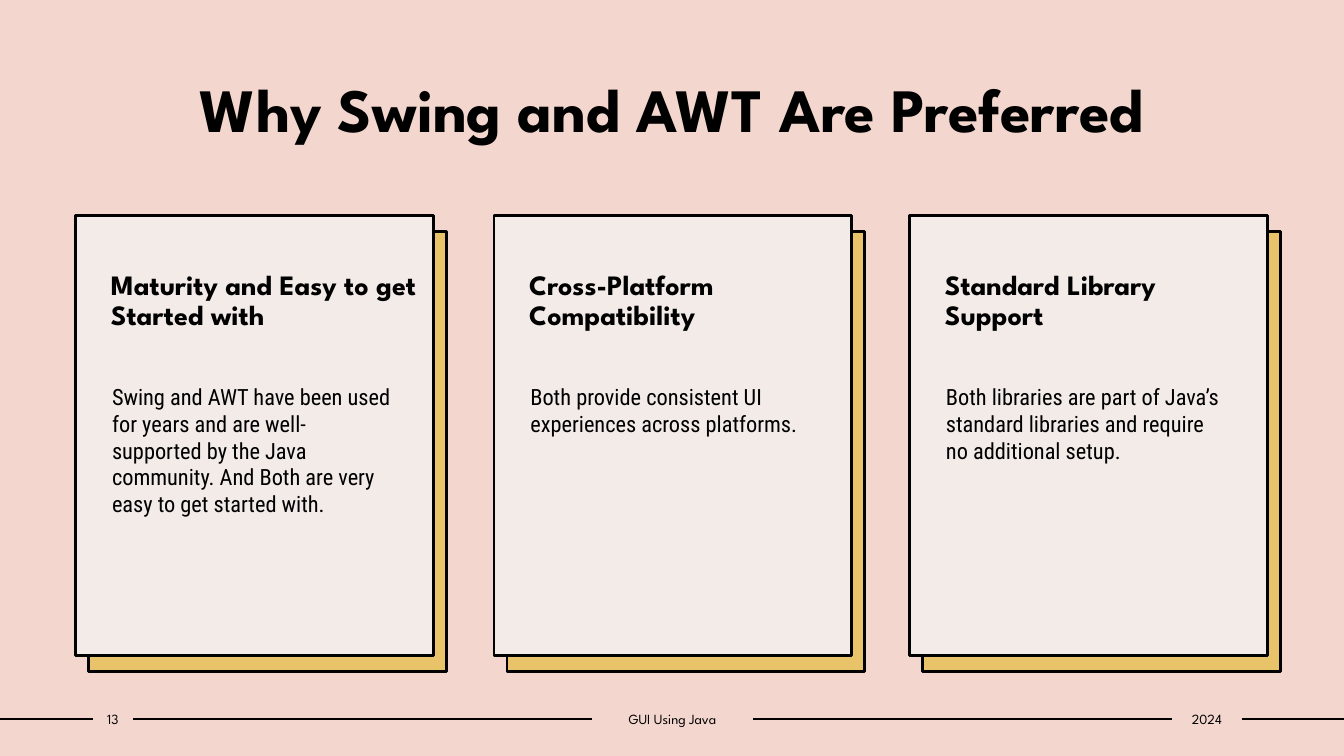
"""Build a slide with three offset cards and a ruled footer."""
import pptx
import pptx.util
import pptx.dml.color
import pptx.enum.shapes
import pptx.enum.text
import lxml.etree

WIDE, HIGH = 13.33, 7.5
COLS, ROWS = 40, 30
INK = {"back": "F3D6CD", "card": "F3EBE8", "gold": "E9C369", "black": "000000"}
HEAD, BODY = "League Spartan", "Roboto Condensed"
ALIGN = pptx.enum.text.PP_ALIGN
ANCHOR = pptx.enum.text.MSO_ANCHOR

CARDS = [
    (2.25, "Maturity and Easy to get Started with",
     "Swing and AWT have been used for years and are well-supported by the "
     "Java community. And Both are very easy to get started with."),
    (14.7, "Cross-Platform Compatibility",
     "Both provide consistent UI experiences across platforms."),
    (27.07, "Standard Library Support",
     "Both libraries are part of Java’s standard libraries and require no "
     "additional setup."),
]
CARD_TOP, CARD_WIDE, CARD_HIGH = 8.56, 10.65, 17.44
FOOT_TOP, FOOT_HIGH = 28, 1.08
LABELS = [(2.76, 1.2, "13"), (17.61, 4.8, "GUI Using Java"), (34.87, 2.1, "2024")]


def col(count):
    return pptx.util.Inches(WIDE * count / COLS)


def row(count):
    return pptx.util.Inches(HIGH * count / ROWS)


def ink(name):
    return pptx.dml.color.RGBColor.from_string(INK[name])


def place(left, top, wide, high):
    return col(left), row(top), col(wide), row(high)


def write(shape, text, size, font=HEAD, bold=False, align=ALIGN.LEFT,
          anchor=ANCHOR.TOP, space=1.0, inset=(0.1, 0.05, 0.1, 0.05)):
    frame = shape.text_frame
    frame.word_wrap = True
    frame.vertical_anchor = anchor
    (frame.margin_left, frame.margin_top,
     frame.margin_right, frame.margin_bottom) = map(pptx.util.Inches, inset)
    para = frame.paragraphs[0]
    para.alignment = align
    para.line_spacing = space
    run = para.add_run()
    run.text = text
    run.font.name = font
    run.font.size = pptx.util.Pt(size)
    run.font.bold = bold
    run.font.color.rgb = ink("black")


def add_text(slide, spot, text, size, **form):
    box = slide.shapes.add_textbox(*place(*spot))
    write(box, text, size, **form)
    return box


def add_panel(slide, spot, fill):
    panel = slide.shapes.add_shape(
        pptx.enum.shapes.MSO_SHAPE.RECTANGLE, *place(*spot))
    panel.shadow.inherit = False
    panel.fill.solid()
    panel.fill.fore_color.rgb = ink(fill)
    panel.line.color.rgb = ink("black")
    panel.line.width = pptx.util.Pt(2)
    return panel


def add_card(slide, left, head, body):
    size = (CARD_WIDE, CARD_HIGH)
    add_panel(slide, (left + 0.39, CARD_TOP + 0.64, *size), "gold")
    front = add_panel(slide, (left, CARD_TOP, *size), "card")
    write(front, head, 20, bold=True, space=0.9, inset=(0.35, 0.55, 0.1, 0.05))
    add_text(slide, (left + 0.79, 15, 9, 10.08), body, 16, font=BODY)


def add_rule(slide, prev, label):
    """Draw a line from one label, or the slide's edge, to the next."""
    level = row(FOOT_TOP + FOOT_HIGH / 2)
    rule = slide.shapes.add_connector(
        pptx.enum.shapes.MSO_CONNECTOR.STRAIGHT, 0, level, col(COLS), level)
    if prev is not None:
        rule.begin_connect(prev, 3)
    if label is not None:
        rule.end_connect(label, 1)
    rule.line.color.rgb = ink("black")
    rule.line.width = pptx.util.Pt(1)
    lxml.etree.SubElement(
        rule.element.spPr, pptx.oxml.ns.qn("a:effectLst"))


def add_foot(slide):
    labels = [
        add_text(slide, (left, FOOT_TOP, wide, FOOT_HIGH), text, 10,
                 align=ALIGN.CENTER, anchor=ANCHOR.MIDDLE,
                 inset=(0, 0.05, 0, 0.05))
        for left, wide, text in LABELS]
    for prev, label in zip([None, *labels], [*labels, None]):
        add_rule(slide, prev, label)


def main():
    deck = pptx.Presentation()
    deck.slide_width, deck.slide_height = col(COLS), row(ROWS)
    slide = deck.slides.add_slide(deck.slide_layouts[6])
    slide.background.fill.solid()
    slide.background.fill.fore_color.rgb = ink("back")
    add_text(slide, (3.75, 2.24, 32.53, 4.44), "Why Swing and AWT Are Preferred",
             44, bold=True, align=ALIGN.CENTER, anchor=ANCHOR.MIDDLE, space=0.9)
    for left, head, body in CARDS:
        add_card(slide, left, head, body)
    add_foot(slide)
    deck.save("out.pptx")


if __name__ == "__main__":
    main()
